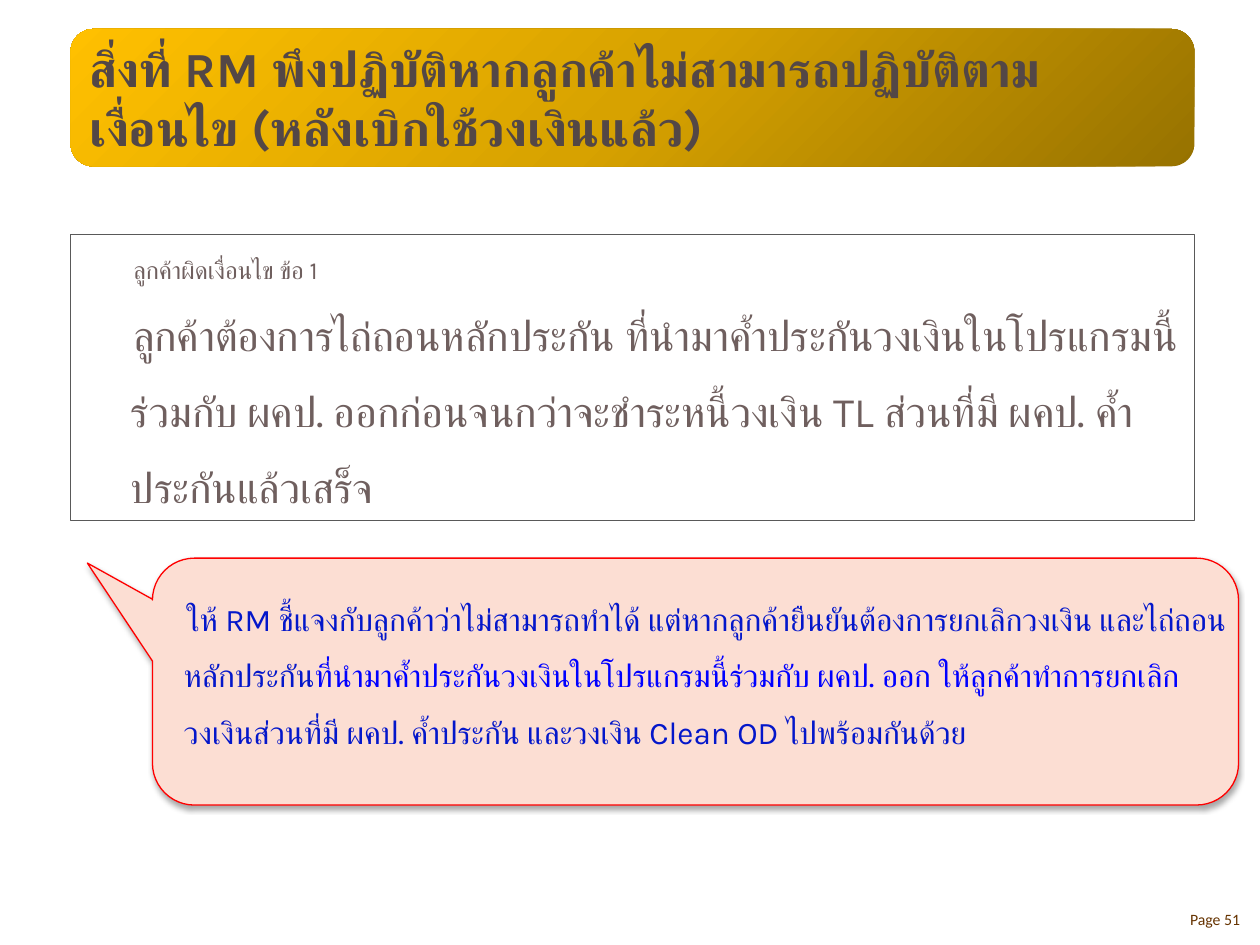
from copy import deepcopy

from lxml.etree import SubElement
from pptx import Presentation
from pptx.dml.color import RGBColor
from pptx.enum.lang import MSO_LANGUAGE_ID
from pptx.enum.shapes import MSO_SHAPE
from pptx.enum.text import MSO_ANCHOR, MSO_AUTO_SIZE, PP_ALIGN
from pptx.oxml import parse_xml
from pptx.oxml.ns import nsdecls, qn
from pptx.util import Inches, Pt

GOLD_STOPS = [
    (0, RGBColor(0x97, 0x72, 0x00)),
    (0.5, RGBColor(0xD7, 0xA2, 0x00)),
    (1, RGBColor(0xFF, 0xC0, 0x00)),
]
PEACH = RGBColor(0xFC, 0xDE, 0xD3)
RED = RGBColor(0xFF, 0x00, 0x00)
GRAY = RGBColor(0x59, 0x59, 0x59)
TITLE_BROWN = RGBColor(0x53, 0x47, 0x46)
BODY_BROWN = RGBColor(0x6F, 0x5F, 0x5E)
PAGE_BROWN = RGBColor(0x66, 0x33, 0x00)
NAVY = RGBColor(0x04, 0x17, 0xCA)
BLUE = RGBColor(0x00, 0x00, 0xFF)

SHADOW = (
    f'<a:effectLst {nsdecls("a")}><a:outerShdw blurRad="{Pt(3.1)}" dist="{Pt(1.8)}" '
    'dir="5400000" rotWithShape="0"><a:srgbClr val="000000"><a:alpha val="35000"/>'
    '</a:srgbClr></a:outerShdw></a:effectLst>'
)

TITLE = "สิ่งที่ RM พึงปฏิบัติหากลูกค้าไม่สามารถปฏิบัติตามเงื่อนไข (หลังเบิกใช้วงเงินแล้ว)"
BREACH = [
    ("ลูกค้าผิดเงื่อนไข ข้อ 1", 14),
    ("ลูกค้าต้องการไถ่ถอนหลักประกัน ที่นำมาค้ำประกันวงเงินในโปรแกรมนี้ร่วมกับ ผคป. "
     "ออกก่อนจนกว่าจะชำระหนี้วงเงิน TL ส่วนที่มี ผคป. ค้ำประกันแล้วเสร็จ", 24),
]
ADVICE = [
    ("ให้ RM ชี้แจงกับลูกค้าว่าไม่สามารถทำได้ แต่หากลูกค้ายืนยันต้องการยกเลิกวงเงิน "
     "และไถ่ถอนหลักประกัน", NAVY),
    ("ที่นำมาค้ำประกันวงเงินในโปรแกรมนี้ร่วมกับ ผคป. ออก ให้ลูกค้าทำการยกเลิก", BLUE),
    ("วงเงินส่วนที่มี ผคป. ค้ำประกัน และวงเงิน Clean OD ไปพร้อมกันด้วย", NAVY),
]


def add_box(s, kind, box, fill=None, line=None):
    """Add a flat preset shape with an optional fill and outline."""
    sp = s.shapes.add_shape(kind, *map(Inches, box))
    sp.shadow.inherit = False
    for fmt, color in ((sp.fill, fill), (sp.line.fill, line)):
        if color is None:
            fmt.background()
        else:
            fmt.solid()
            fmt.fore_color.rgb = color
    if line is not None:
        sp.line.width = Pt(0.75)
    return sp


def set_gradient(sp, stops, angle):
    """Fill a shape with a linear gradient of any number of stops."""
    sp.fill.gradient()
    sp.fill.gradient_angle = angle
    gs_list = sp._element.spPr.find(qn("a:gradFill")).find(qn("a:gsLst"))
    for _ in range(len(stops) - len(gs_list)):
        gs_list.append(deepcopy(gs_list[0]))
    for stop, (position, color) in zip(sp.fill.gradient_stops, stops):
        stop.position = position
        stop.color.rgb = color


def set_frame(sp, **values):
    """Turn on wrapping and apply text frame settings."""
    tf = sp.text_frame
    for name, value in {"word_wrap": True, **values}.items():
        setattr(tf, name, value)
    return tf


def format_paragraph(p, align=PP_ALIGN.LEFT, indented=False):
    """Align a paragraph, with the body indent and spacing if asked."""
    p.alignment = align
    if indented:
        p.line_spacing = 1.5
        pPr = p._p.get_or_add_pPr()
        pPr.set("marL", str(Inches(0.38)))
        pPr.set("indent", str(Inches(0.02)))


def add_run(p, text, color, size, name="Karla", bold=False):
    """Add a run whose font also covers the Thai script."""
    r = p.add_run()
    r.text = text
    values = {"name": name, "size": Pt(size), "bold": bold,
              "language_id": MSO_LANGUAGE_ID.THAI}
    for key, value in values.items():
        setattr(r.font, key, value)
    r.font.color.rgb = color
    SubElement(r._r.get_or_add_rPr(), qn("a:cs"), typeface=name)


def add_callout(s):
    """Add the shadowed speech bubble behind the advice."""
    sp = add_box(s, MSO_SHAPE.ROUNDED_RECTANGULAR_CALLOUT,
                 (1.21, 4.43, 8.62, 1.96), PEACH, RED)
    for i, value in enumerate((-0.56, -0.48, 0.17)):
        sp.adjustments[i] = value
    spPr = sp._element.spPr
    spPr.replace(spPr.find(qn("a:effectLst")), parse_xml(SHADOW))


def add_page_number(s):
    """Add the page label at the lower right."""
    sp = s.shapes.add_textbox(*map(Inches, (7.61, 7.17, 2.33, 0.52)))
    p = set_frame(sp).paragraphs[0]
    format_paragraph(p, PP_ALIGN.RIGHT)
    add_run(p, "Page 51", PAGE_BROWN, 9, "Calibri")


def add_title(s):
    """Add the gold title banner."""
    sp = add_box(s, MSO_SHAPE.ROUNDED_RECTANGLE, (0.56, 0.23, 8.92, 1.09))
    set_gradient(sp, GOLD_STOPS, 135)
    p = set_frame(sp, vertical_anchor=MSO_ANCHOR.MIDDLE).paragraphs[0]
    format_paragraph(p)
    add_run(p, TITLE, TITLE_BROWN, 28, bold=True)


def add_breach(s):
    """Add the outlined box that states the breached condition."""
    sp = add_box(s, MSO_SHAPE.RECTANGLE, (0.56, 1.86, 8.92, 2.27), line=GRAY)
    tf = set_frame(sp, vertical_anchor=MSO_ANCHOR.TOP,
                   auto_size=MSO_AUTO_SIZE.SHAPE_TO_FIT_TEXT)
    for i, (text, size) in enumerate(BREACH):
        p = tf.add_paragraph() if i else tf.paragraphs[0]
        format_paragraph(p, indented=True)
        add_run(p, text, BODY_BROWN, size)


def add_advice(s):
    """Add the advice text over the callout."""
    sp = s.shapes.add_textbox(*map(Inches, (0.98, 4.56, 8.92, 1.86)))
    tf = set_frame(sp, auto_size=MSO_AUTO_SIZE.SHAPE_TO_FIT_TEXT)
    p = tf.paragraphs[0]
    format_paragraph(p, indented=True)
    for text, color in ADVICE:
        add_run(p, text, color, 18)


def main():
    """Build the slide and save it."""
    prs = Presentation()
    prs.slide_width, prs.slide_height = Inches(10), Inches(7.5)
    s = prs.slides.add_slide(prs.slide_layouts[6])
    for add in (add_callout, add_page_number, add_title, add_breach, add_advice):
        add(s)
    prs.save("out.pptx")


if __name__ == "__main__":
    main()
